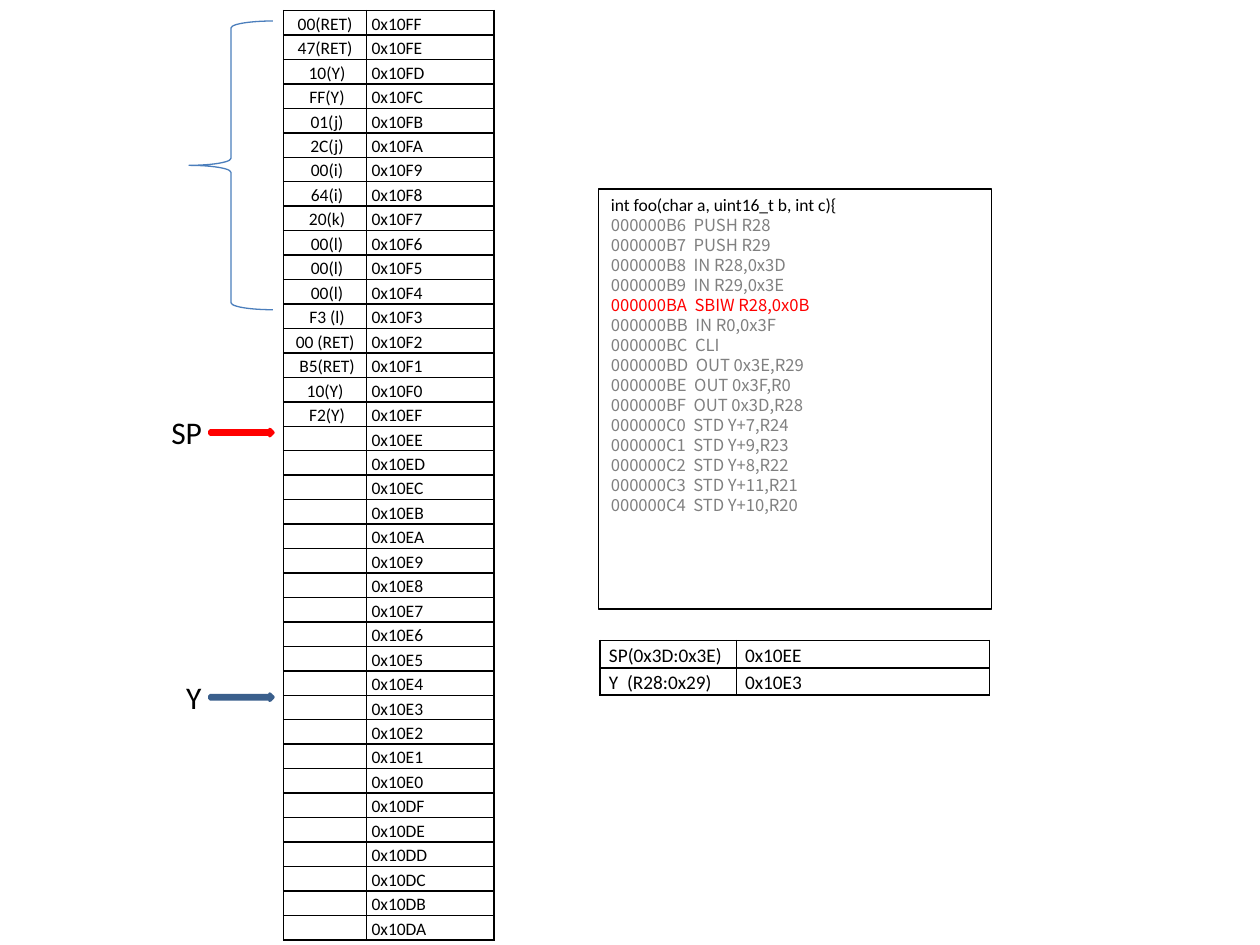
from lxml import etree
from pptx import Presentation
from pptx import util as u
from pptx.dml.color import RGBColor
from pptx.enum import shapes, text
from pptx.oxml.ns import qn

BLACK, GREY, RED, WHITE = "000000", "808080", "FF0000", "FFFFFF"
BODY = {"name": "Calibri", "size": u.Pt(10)}
CODE = {"name": "Noto Sans CJK SC", "size": u.Pt(9.5)}

STACK = ("00(RET)|47(RET)| 10(Y)| FF(Y)| 01(j)| 2C(j)| 00(i)| 64(i)| 20(k)|"
         " 00(l)| 00(l)| 00(l)| F3 (l)|00 (RET)| B5(RET)|10(Y)| F2(Y)").split("|")
TOP, LAST = 0x10FF, 0x10DA
REGS = [("SP(0x3D:0x3E)", "0x10EE"), ("Y  (R28:0x29)", "0x10E3")]
HEAD = "int foo(char a, uint16_t b, int c){"
ACTIVE = "000000BA"
LINES = """000000B6  PUSH R28
000000B7  PUSH R29
000000B8  IN R28,0x3D
000000B9  IN R29,0x3E
000000BA  SBIW R28,0x0B
000000BB  IN R0,0x3F
000000BC  CLI
000000BD  OUT 0x3E,R29
000000BE  OUT 0x3F,R0
000000BF  OUT 0x3D,R28
000000C0  STD Y+7,R24
000000C1  STD Y+9,R23
000000C2  STD Y+8,R22
000000C3  STD Y+11,R21
000000C4  STD Y+10,R20""".split("\n")


def color(code):
    return RGBColor.from_string(code)


def apply(item, values):
    for key, value in values.items():
        setattr(item, key, value)


def write(para, words, font, tint=BLACK):
    run = para.add_run()
    run.text = words
    apply(run.font, font)
    run.font.color.rgb = color(tint)


class Page:
    def __init__(self, slide, font):
        self.slide, self.font = slide, font

    def shape(self, kind, box, line, width, fill=None, home=None):
        home = home or self.slide.shapes
        item = home.add_shape(kind, *map(u.Pt, box))
        item.shadow.inherit = False
        if fill:
            item.fill.solid()
            item.fill.fore_color.rgb = color(fill)
        else:
            item.fill.background()
        item.line.color.rgb = color(line)
        item.line.width = u.Pt(width)
        return item

    def edge(self, cell):
        """Draw a black 1 pt border on all four sides of a cell."""
        props = cell._tc.get_or_add_tcPr()
        for i, side in enumerate(("lnL", "lnR", "lnT", "lnB")):
            line = etree.Element(qn("a:" + side), w=str(u.Pt(1)))
            fill = etree.SubElement(line, qn("a:solidFill"))
            etree.SubElement(fill, qn("a:srgbClr"), val=BLACK)
            props.insert(i, line)

    def table(self, rows, left, top, widths, height, size, pad, aligns):
        box = (left, top, sum(widths), height * len(rows))
        table = self.slide.shapes.add_table(
            len(rows), len(widths), *map(u.Pt, box)).table
        apply(table, {"first_row": False, "horz_banding": False})
        for col, width in zip(table.columns, widths):
            col.width = u.Pt(width)
        for r, row in enumerate(rows):
            table.rows[r].height = u.Pt(height)
            for c, words in enumerate(row):
                cell = table.cell(r, c)
                apply(cell, {"margin_left": u.Pt(pad), "margin_right": u.Pt(pad),
                             "margin_top": 0, "margin_bottom": 0})
                cell.fill.background()
                self.edge(cell)
                para = cell.text_frame.paragraphs[0]
                apply(para, {"alignment": aligns[c], "line_spacing": 1.15})
                if words:
                    write(para, words, {**self.font, "size": u.Pt(size)})
                else:  # keeps an empty row as low as the others
                    etree.SubElement(para._p, qn("a:endParaRPr"), sz=str(size * 100))

    def code(self, box):
        item = self.shape(shapes.MSO_SHAPE.RECTANGLE, box, BLACK, 0.75, WHITE)
        frame = item.text_frame
        apply(frame, {"word_wrap": True, "vertical_anchor": text.MSO_ANCHOR.TOP})
        for i, words in enumerate([HEAD] + LINES):
            para = frame.add_paragraph() if i else frame.paragraphs[0]
            apply(para, {"alignment": text.PP_ALIGN.LEFT, "line_spacing": u.Pt(11.43)})
            tint = RED if words.startswith(ACTIVE) else GREY
            write(para, words, CODE if i else self.font, tint if i else BLACK)

    def marker(self, words, left, top, width, line):
        """Label and arrow that point at a stack row."""
        home = self.slide.shapes.add_group_shape().shapes
        self.shape(shapes.MSO_SHAPE.RIGHT_ARROW, (120, top + 13, 36, 3.6),
                   line, 2, "4F81BD", home)
        label = home.add_textbox(*map(u.Pt, (left, top, width, 29)))
        apply(label.text_frame, {"word_wrap": False,
                                 "auto_size": text.MSO_AUTO_SIZE.SHAPE_TO_FIT_TEXT})
        write(label.text_frame.paragraphs[0], words, {**self.font, "size": u.Pt(18)})


def main():
    deck = Presentation()
    apply(deck, {"slide_width": u.Pt(720), "slide_height": u.Pt(540)})
    page = Page(deck.slides.add_slide(deck.slide_layouts[6]), BODY)
    left, mid = text.PP_ALIGN.LEFT, text.PP_ALIGN.CENTER

    spots = [f"0x{n:04X}" for n in range(TOP, LAST - 1, -1)]
    values = STACK + [""] * (len(spots) - len(STACK))
    page.table(list(zip(values, spots)), 162, 6, (47.5, 72.7), 13.97, 10, 2.9, (mid, left))
    page.table(REGS, 343, 366, (77.8, 144.7), 15.4, 11, 5, (left, left))
    page.code((342, 108, 224.6, 240))
    page.marker("Y", 99.2, 383.6, 18, "3A5F8C")
    page.marker("SP", 90.8, 232.4, 32, RED)
    page.shape(shapes.MSO_SHAPE.LEFT_BRACE, (108, 12, 48, 165), "4B7EBC", 0.75)
    deck.save("out.pptx")


if __name__ == "__main__":
    main()
